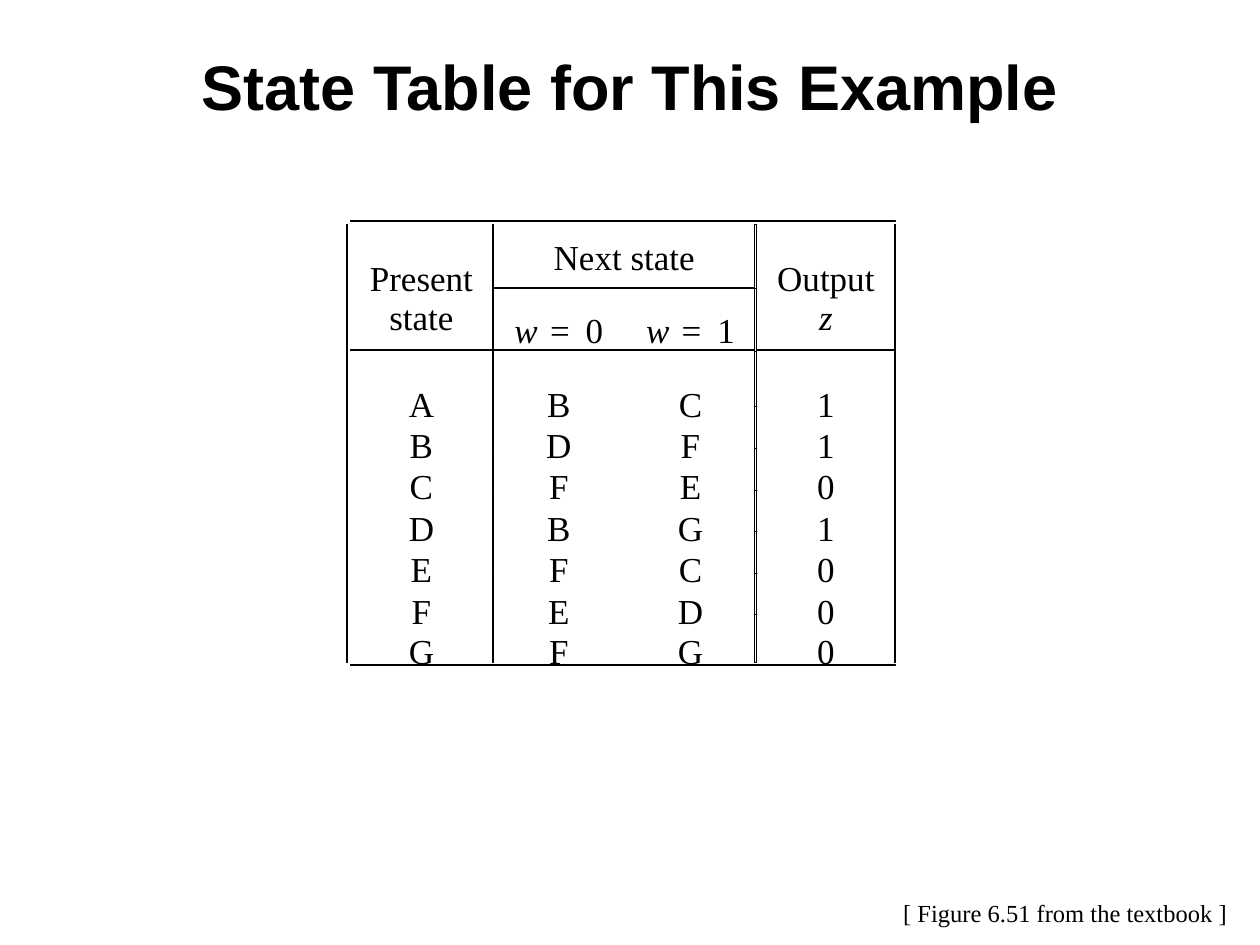
from itertools import accumulate

from pptx import Presentation
from pptx.dml.color import RGBColor
from pptx.enum.shapes import MSO_SHAPE
from pptx.enum.text import MSO_ANCHOR, PP_ALIGN
from pptx.util import Inches, Pt

CENTER, LEFT = PP_ALIGN.CENTER, PP_ALIGN.LEFT
MIDDLE, TOP = MSO_ANCHOR.MIDDLE, MSO_ANCHOR.TOP
BOTTOM = MSO_ANCHOR.BOTTOM
RECTANGLE = MSO_SHAPE.RECTANGLE

# Content
TITLE = "State Table for This Example"
CREDIT = "[ Figure 6.51 from the textbook ]"
ITALIC_SYMBOLS = ("w", "z")
# (row, column, last row, last column, paragraphs made of runs)
HEADINGS = [
    (0, 0, 1, 0, [["Present"], ["state"]]),
    (0, 1, 0, 2, [["Next state"]]),
    (0, 3, 1, 3, [["Output"], ["z"]]),
    (1, 1, 1, 1, [["w", " = ", "0"]]),
    (1, 2, 1, 2, [["w", " = ", "1"]]),
]
STATES = ["ABC1", "BDF1", "CFE0", "DBG1", "EFC0", "FED0", "GFG0"]

COLORS = {"ink": "000000", "paper": "FFFFFF"}
SERIF, SANS = "Times New Roman", "Arial"

# Table grid, in inches
TABLE_LEFT, TABLE_TOP = 2.78, 1.78
COLUMN_WIDTHS = [1.13, 1.05, 1.04, 1.11]
ROW_HEIGHTS = [0.51, 0.5, 0.44] + [0.33] * 5 + [0.38]
TABLE_WIDTH, TABLE_HEIGHT = sum(COLUMN_WIDTHS), sum(ROW_HEIGHTS)
RULE = 0.01
VERTICAL_RULES = [2.75, 3.91, 5.99, 7.1]
HORIZONTAL_RULES = [  # left, top, width
    (TABLE_LEFT, 1.75, TABLE_WIDTH),
    (3.91, 2.28, 2.09),
    (TABLE_LEFT, 2.77, TABLE_WIDTH),
    (TABLE_LEFT, 5.27, TABLE_WIDTH),
]


def color(name):
    return RGBColor.from_string(COLORS[name])


def style_run(run, size, font=SERIF, bold=False):
    run.font.size = Pt(size)
    run.font.name = font
    run.font.bold = bold
    run.font.italic = run.text in ITALIC_SYMBOLS
    run.font.color.rgb = color("ink")


def add_text(slide, text, box, size, font, align, bold=False, wrap=True):
    frame = slide.shapes.add_textbox(*map(Inches, box)).text_frame
    frame.word_wrap = wrap
    frame.text = text
    frame.paragraphs[0].alignment = align
    style_run(frame.paragraphs[0].runs[0], size, font, bold)


def fill_cell(cell, paragraphs, anchor, top_margin=0):
    cell.margin_left = cell.margin_right = cell.margin_bottom = 0
    cell.margin_top = Inches(top_margin)
    cell.vertical_anchor = anchor
    for index, pieces in enumerate(paragraphs):
        frame = cell.text_frame
        paragraph = frame.add_paragraph() if index else frame.paragraphs[0]
        paragraph.alignment = CENTER
        for piece in pieces:
            run = paragraph.add_run()
            run.text = piece
            style_run(run, 20)
            if piece == " = ":  # loosen the equation slightly
                run.font._element.set("spc", "200")


def add_state_table(slide):
    table = slide.shapes.add_table(
        len(ROW_HEIGHTS), len(COLUMN_WIDTHS),
        *map(Inches, (TABLE_LEFT, TABLE_TOP, TABLE_WIDTH, TABLE_HEIGHT))).table
    table.first_row = table.horz_banding = False
    for column, width in zip(table.columns, COLUMN_WIDTHS):
        column.width = Inches(width)
    for row, height in zip(table.rows, ROW_HEIGHTS):
        row.height = Inches(height)
    for cell in table.iter_cells():
        cell.fill.background()

    for row, column, last_row, last_column, paragraphs in HEADINGS:
        cell = table.cell(row, column)
        if (row, column) != (last_row, last_column):
            cell.merge(table.cell(last_row, last_column))
        fill_cell(cell, paragraphs, MIDDLE, 0.03)

    anchors = [BOTTOM] + [MIDDLE] * (len(STATES) - 2) + [TOP]
    for row, (values, anchor) in enumerate(zip(STATES, anchors), start=2):
        for column, value in enumerate(values):
            fill_cell(table.cell(row, column), [[value]], anchor)


def add_rule(slide, left, top, width, height):
    rule = slide.shapes.add_shape(
        RECTANGLE, *map(Inches, (left, top, width, height)))
    rule.shadow.inherit = False
    rule.fill.solid()
    rule.fill.fore_color.rgb = color("paper")
    rule.line.color.rgb = color("ink")
    rule.line.width = Pt(0.5)


def main():
    prs = Presentation()
    prs.slide_width, prs.slide_height = Inches(10), Inches(7.5)
    slide = prs.slides.add_slide(prs.slide_layouts[6])

    add_state_table(slide)

    # Rules around and inside the table, one vertical piece per row
    for left, top, width in HORIZONTAL_RULES:
        add_rule(slide, left, top, width, RULE)
    row_tops = accumulate(ROW_HEIGHTS, initial=TABLE_TOP)
    for top, height in zip(row_tops, ROW_HEIGHTS):
        for left in VERTICAL_RULES:
            add_rule(slide, left, top, RULE, height)

    # Title and credit
    add_text(slide, TITLE, (0, 0.33, 10, 0.75), 36, SANS, CENTER, bold=True)
    add_text(slide, CREDIT, (7.07, 7.08, 2.77, 0.34), 14, SERIF, LEFT,
             wrap=False)

    prs.save("out.pptx")


if __name__ == "__main__":
    main()
